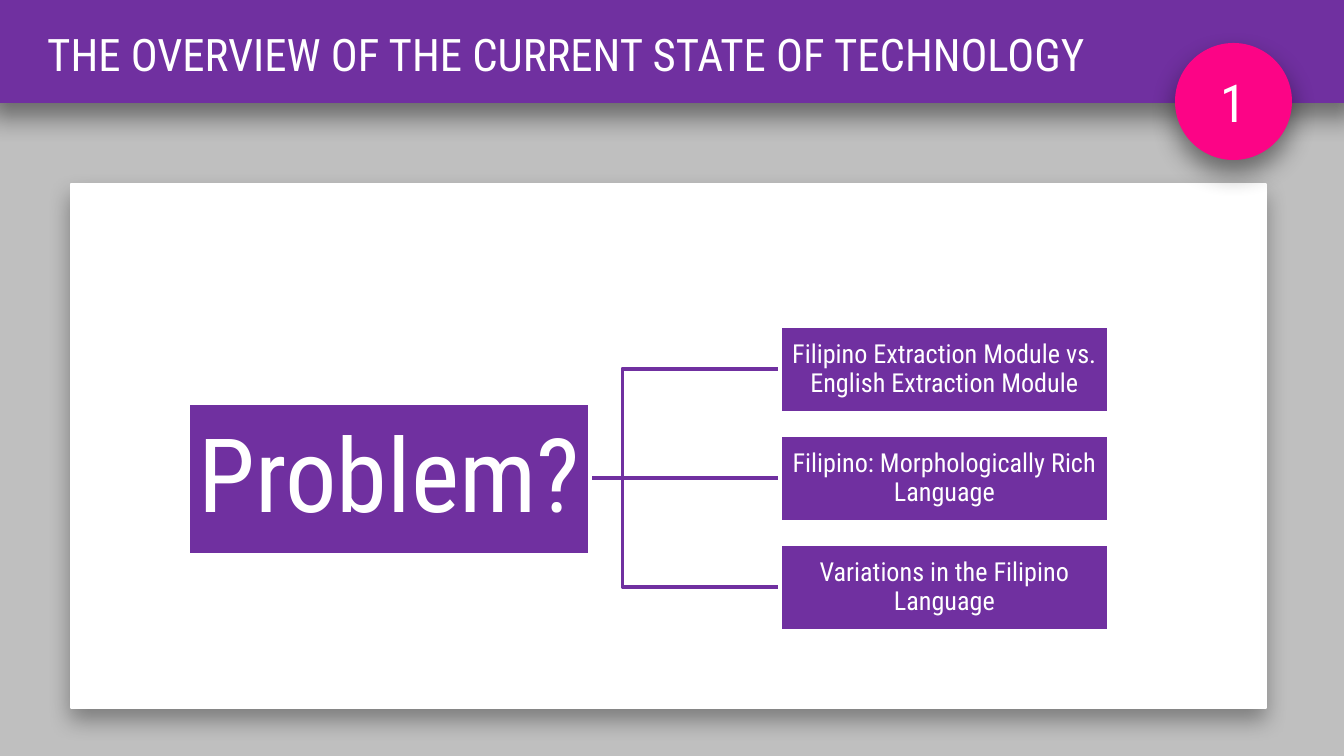
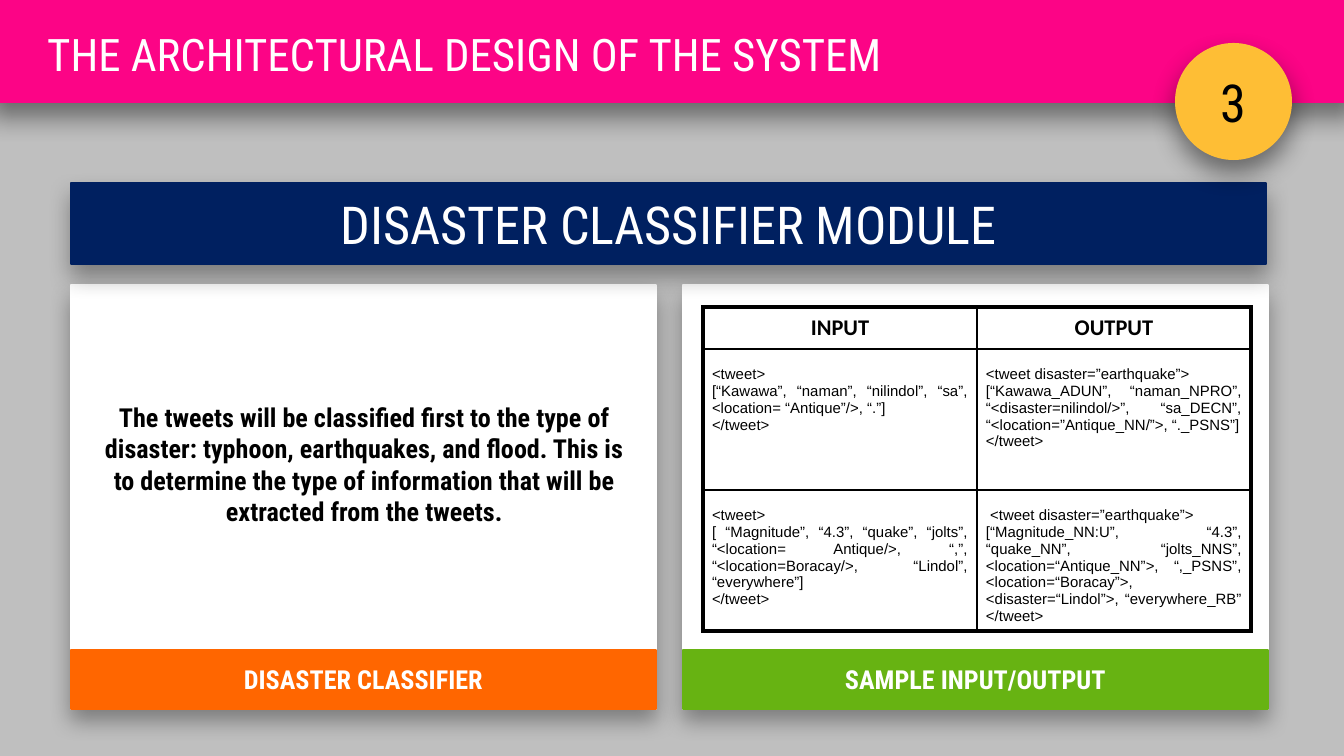
from dataclasses import dataclass
from typing import Optional

from lxml.etree import SubElement
from pptx import Presentation
from pptx.dml.color import RGBColor
from pptx.enum.shapes import MSO_CONNECTOR, MSO_SHAPE
from pptx.enum.text import MSO_ANCHOR, PP_ALIGN
from pptx.oxml.ns import qn
from pptx.util import Emu, Pt

PAGE_WIDTH, PAGE_HEIGHT = 1344, 756
EMU_PER_PX = 9144000 / PAGE_WIDTH

FONT = "Roboto Condensed"
WHITE, BLACK, GREY = "FFFFFF", "000000", "BFBFBF"
PURPLE, PINK, YELLOW = "7030A0", "FC0486", "FEBE35"
NAVY, ORANGE, GREEN = "002060", "FF6600", "67B312"


@dataclass(frozen=True)
class Box:
    left: int
    top: int
    width: int
    height: int

    @property
    def middle(self) -> int:
        return self.top + self.height // 2

    def emu(self) -> tuple:
        return tuple(px(n) for n in (self.left, self.top, self.width, self.height))


@dataclass(frozen=True)
class Shadow:
    opacity: int
    blur: int
    distance: int


@dataclass(frozen=True)
class Card:
    left: int
    caption: str
    color: str


CARD_SHADOW = Shadow(35, 12, 6)
BANNER_SHADOW = Shadow(45, 14, 7)

CONTENT_LEFT, CONTENT_TOP, CONTENT_WIDTH = 71, 184, 1195
CARD_TOP, CARD_WIDTH, CARD_HEIGHT, CAPTION_HEIGHT = 285, 585, 424, 59
CLASSIFIER_CARD = Card(CONTENT_LEFT, "DISASTER CLASSIFIER", ORANGE)
SAMPLE_CARD = Card(683, "SAMPLE INPUT/OUTPUT", GREEN)

PROBLEM_BOX = Box(188, 403, 402, 152)
CAUSE_LEFT, CAUSE_TOP, CAUSE_WIDTH, CAUSE_HEIGHT, CAUSE_STEP = 780, 326, 329, 87, 109
CAUSES = (
    "Filipino Extraction Module vs. English Extraction Module",
    "Filipino: Morphologically Rich Language",
    "Variations in the Filipino Language",
)
BRANCH_LEFT = 465

CLASSIFIER_TEXT = (
    "The tweets will be classified first to the type of disaster: typhoon, "
    "earthquakes, and flood. This is to determine the type of information "
    "that will be extracted from the tweets."
)

SAMPLES_LEFT, SAMPLES_TOP = 703, 307
SAMPLE_COLUMN, SAMPLE_ROWS = 274, (42, 141, 141)
SAMPLES = (
    ("INPUT", "OUTPUT"),
    (
        "<tweet>\n"
        "[“Kawawa”, “naman”, “nilindol”, “sa”, <location= “Antique”/>, “.”]\n"
        "</tweet>",
        "<tweet disaster=”earthquake”>\n"
        "[“Kawawa_ADUN”, “naman_NPRO”, “<disaster=nilindol/>”, “sa_DECN”, "
        "“<location=”Antique_NN/”>, “._PSNS”]\n"
        "</tweet>",
    ),
    (
        "<tweet>\n"
        "[ “Magnitude”, “4.3”, “quake”, “jolts”, “<location= Antique/>, “,”, "
        "“<location=Boracay/>, “Lindol”, “everywhere”]\n"
        "</tweet>",
        " <tweet disaster=”earthquake”>\n"
        "[“Magnitude_NN:U”, “4.3”, “quake_NN”, “jolts_NNS”, "
        "<location=“Antique_NN”>, “,_PSNS”, <location=“Boracay”>, "
        "<disaster=“Lindol”>, “everywhere_RB” </tweet>",
    ),
)


def px(length: float) -> Emu:
    return Emu(round(length * EMU_PER_PX))


def rgb(color: str) -> RGBColor:
    return RGBColor.from_string(color)


def write_text(frame, text: str, *, size: int, color: str = WHITE, font: str = FONT,
               bold: bool = False, align: PP_ALIGN = PP_ALIGN.CENTER,
               line_spacing: Optional[float] = None) -> None:
    """Write one paragraph for each line of text."""
    frame.word_wrap = True
    for index, line in enumerate(text.split("\n")):
        para = frame.add_paragraph() if index else frame.paragraphs[0]
        para.alignment = align
        if line_spacing:
            para.line_spacing = line_spacing
        span = para.add_run()
        span.text = line
        span.font.name = font
        span.font.size = Pt(size)
        span.font.bold = bold
        span.font.color.rgb = rgb(color)


def set_insets(holder, left: int, top: int, right: int, bottom: int) -> None:
    holder.margin_left, holder.margin_top = px(left), px(top)
    holder.margin_right, holder.margin_bottom = px(right), px(bottom)


def cast_shadow(shape, shadow: Shadow) -> None:
    effects = shape._element.spPr.find(qn("a:effectLst"))
    outer = SubElement(effects, qn("a:outerShdw"), blurRad=str(Pt(shadow.blur)),
                       dist=str(Pt(shadow.distance)), dir="5400000",
                       algn="t", rotWithShape="0")
    tint = SubElement(outer, qn("a:srgbClr"), val=BLACK)
    SubElement(tint, qn("a:alpha"), val=str(shadow.opacity * 1000))


def add_panel(page, box: Box, fill: str, *, line: Optional[str] = None,
              line_width: float = 0.75, shadow: Optional[Shadow] = None,
              kind: MSO_SHAPE = MSO_SHAPE.RECTANGLE):
    panel = page.shapes.add_shape(kind, *box.emu())
    panel.shadow.inherit = False
    panel.fill.solid()
    panel.fill.fore_color.rgb = rgb(fill)
    if line:
        panel.line.color.rgb = rgb(line)
        panel.line.width = Pt(line_width)
    else:
        panel.line.fill.background()
    if shadow:
        cast_shadow(panel, shadow)
    panel.text_frame.vertical_anchor = MSO_ANCHOR.MIDDLE
    return panel


def add_page(deck):
    page = deck.slides.add_slide(deck.slide_layouts[6])
    page.background.fill.solid()
    page.background.fill.fore_color.rgb = rgb(GREY)
    return page


def add_banner(page, title: str, color: str, number: str, badge_color: str,
               number_color: str) -> None:
    """Draw the title band and the round section number that hangs from it."""
    add_panel(page, Box(-11, -132, 1367, 235), color, shadow=BANNER_SHADOW)
    heading = add_panel(page, Box(34, 20, 1077, 67), color)
    heading.text_frame.vertical_anchor = MSO_ANCHOR.TOP
    write_text(heading.text_frame, title, size=24, align=PP_ALIGN.LEFT)
    badge = add_panel(page, Box(1175, 43, 117, 117), badge_color,
                      shadow=BANNER_SHADOW, kind=MSO_SHAPE.OVAL)
    write_text(badge.text_frame, number, size=28, color=number_color)


def add_branch(page, start: int, end: int) -> None:
    """Join the problem at height start to a cause at height end."""
    kind = MSO_CONNECTOR.STRAIGHT if start == end else MSO_CONNECTOR.ELBOW
    branch = page.shapes.add_connector(kind, px(BRANCH_LEFT), px(start),
                                       px(CAUSE_LEFT), px(end))
    branch.line.color.rgb = rgb(PURPLE)
    branch.line.width = Pt(2)
    SubElement(branch._element.spPr, qn("a:effectLst"))


def add_node(page, box: Box, text: str, size: int, inset: int) -> None:
    node = add_panel(page, box, PURPLE, line=WHITE, line_width=2)
    set_insets(node.text_frame, inset, inset, inset, inset)
    write_text(node.text_frame, text, size=size, line_spacing=0.9)


def add_card(page, card: Card) -> None:
    add_panel(page, Box(card.left, CARD_TOP, CARD_WIDTH, CARD_HEIGHT), WHITE,
              line=WHITE, shadow=CARD_SHADOW)
    caption_top = CARD_TOP + CARD_HEIGHT - CAPTION_HEIGHT
    caption = add_panel(page, Box(card.left, caption_top, CARD_WIDTH, CAPTION_HEIGHT),
                        card.color, line=card.color)
    write_text(caption.text_frame, card.caption, size=14, bold=True)


def add_border(cell, side: str, width: float) -> None:
    edge = SubElement(cell._tc.get_or_add_tcPr(), qn(f"a:ln{side}"), w=str(Pt(width)))
    fill = SubElement(edge, qn("a:solidFill"))
    SubElement(fill, qn("a:srgbClr"), val=BLACK)


def add_samples(page) -> None:
    rows, columns = len(SAMPLES), len(SAMPLES[0])
    box = Box(SAMPLES_LEFT, SAMPLES_TOP, SAMPLE_COLUMN * columns, sum(SAMPLE_ROWS))
    table = page.shapes.add_table(rows, columns, *box.emu()).table
    table.first_row = table.horz_banding = False
    for column in table.columns:
        column.width = px(SAMPLE_COLUMN)
    for row, texts in enumerate(SAMPLES):
        table.rows[row].height = px(SAMPLE_ROWS[row])
        for column, text in enumerate(texts):
            cell = table.cell(row, column)
            outer_sides = {"L": column == 0, "R": column == columns - 1,
                           "T": row == 0, "B": row == rows - 1}
            for side, is_outer in outer_sides.items():
                add_border(cell, side, 2.25 if is_outer else 1.5)
            cell.fill.background()
            if row == 0:
                cell.vertical_anchor = MSO_ANCHOR.MIDDLE
                write_text(cell.text_frame, text, size=12, color=BLACK,
                           font="Calibri", bold=True)
            else:
                set_insets(cell, 9, 17, 9, 0)
                write_text(cell.text_frame, text, size=8, color=BLACK,
                           font="Arial", align=PP_ALIGN.JUSTIFY)


def build_problem_page(deck) -> None:
    page = add_page(deck)
    add_panel(page, Box(CONTENT_LEFT, CONTENT_TOP, CONTENT_WIDTH, 524), WHITE,
              line=WHITE, shadow=CARD_SHADOW)
    add_banner(page, "THE OVERVIEW OF THE CURRENT STATE OF TECHNOLOGY", PURPLE,
               "1", PINK, WHITE)
    cause_boxes = [Box(CAUSE_LEFT, CAUSE_TOP + index * CAUSE_STEP,
                       CAUSE_WIDTH, CAUSE_HEIGHT) for index in range(len(CAUSES))]
    trunk = cause_boxes[1].middle
    for box in cause_boxes:
        add_branch(page, trunk, box.middle)
    add_node(page, PROBLEM_BOX, "Problem?", 55, 5)
    for box, cause in zip(cause_boxes, CAUSES):
        add_node(page, box, cause, 14, 1)


def build_classifier_page(deck) -> None:
    page = add_page(deck)
    add_card(page, CLASSIFIER_CARD)
    body = add_panel(page, Box(85, 298, 559, 332), WHITE, line=WHITE)
    write_text(body.text_frame, CLASSIFIER_TEXT, size=14, color=BLACK, bold=True)
    add_card(page, SAMPLE_CARD)
    add_samples(page)
    module = add_panel(page, Box(CONTENT_LEFT, CONTENT_TOP - 1, CONTENT_WIDTH, 81), NAVY,
                       line=NAVY, shadow=CARD_SHADOW)
    write_text(module.text_frame, "DISASTER CLASSIFIER MODULE", size=28)
    add_banner(page, "THE ARCHITECTURAL DESIGN OF THE SYSTEM", PINK,
               "3", YELLOW, BLACK)


def main() -> None:
    deck = Presentation()
    deck.slide_width, deck.slide_height = px(PAGE_WIDTH), px(PAGE_HEIGHT)
    build_problem_page(deck)
    build_classifier_page(deck)
    deck.save("out.pptx")


if __name__ == "__main__":
    main()
